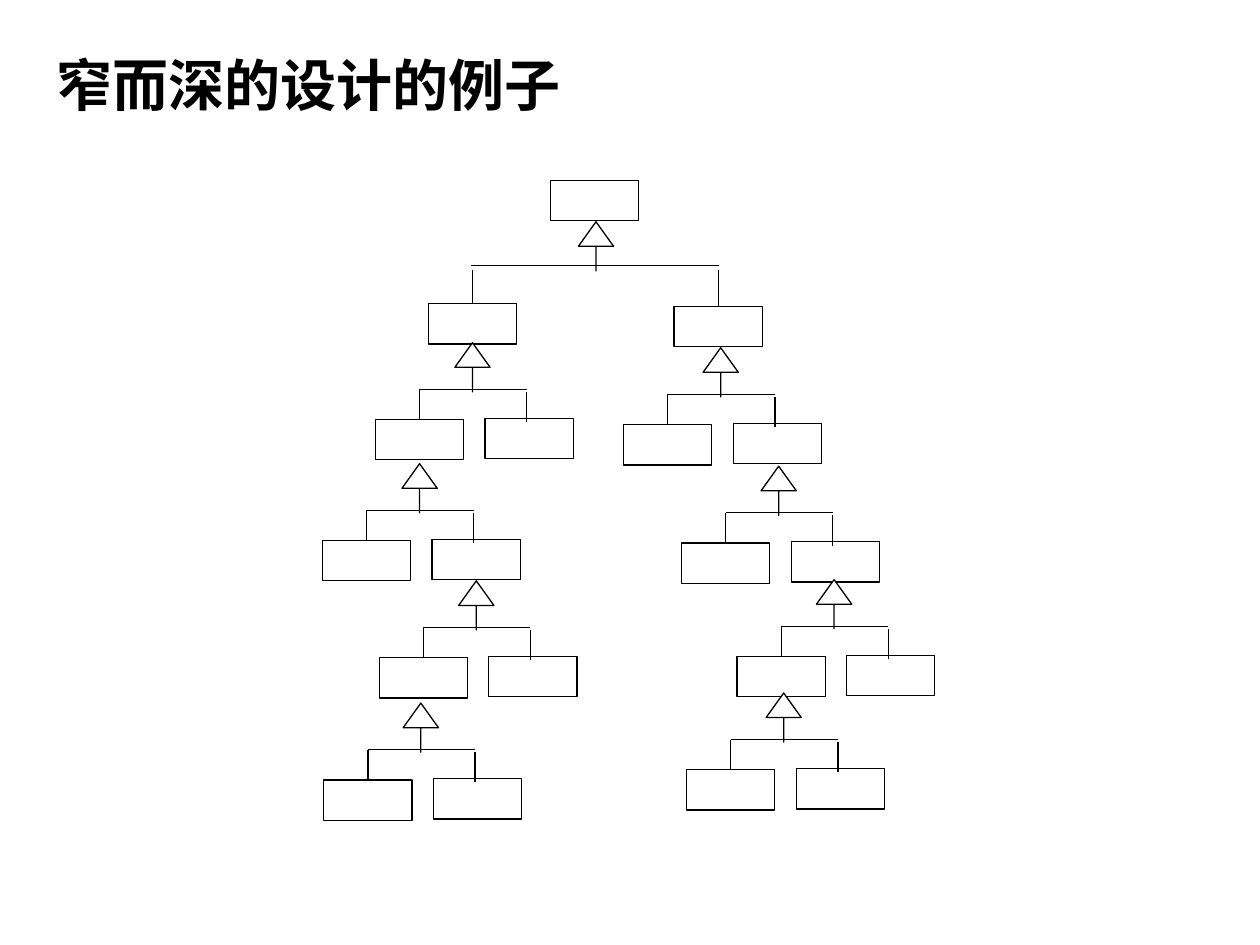
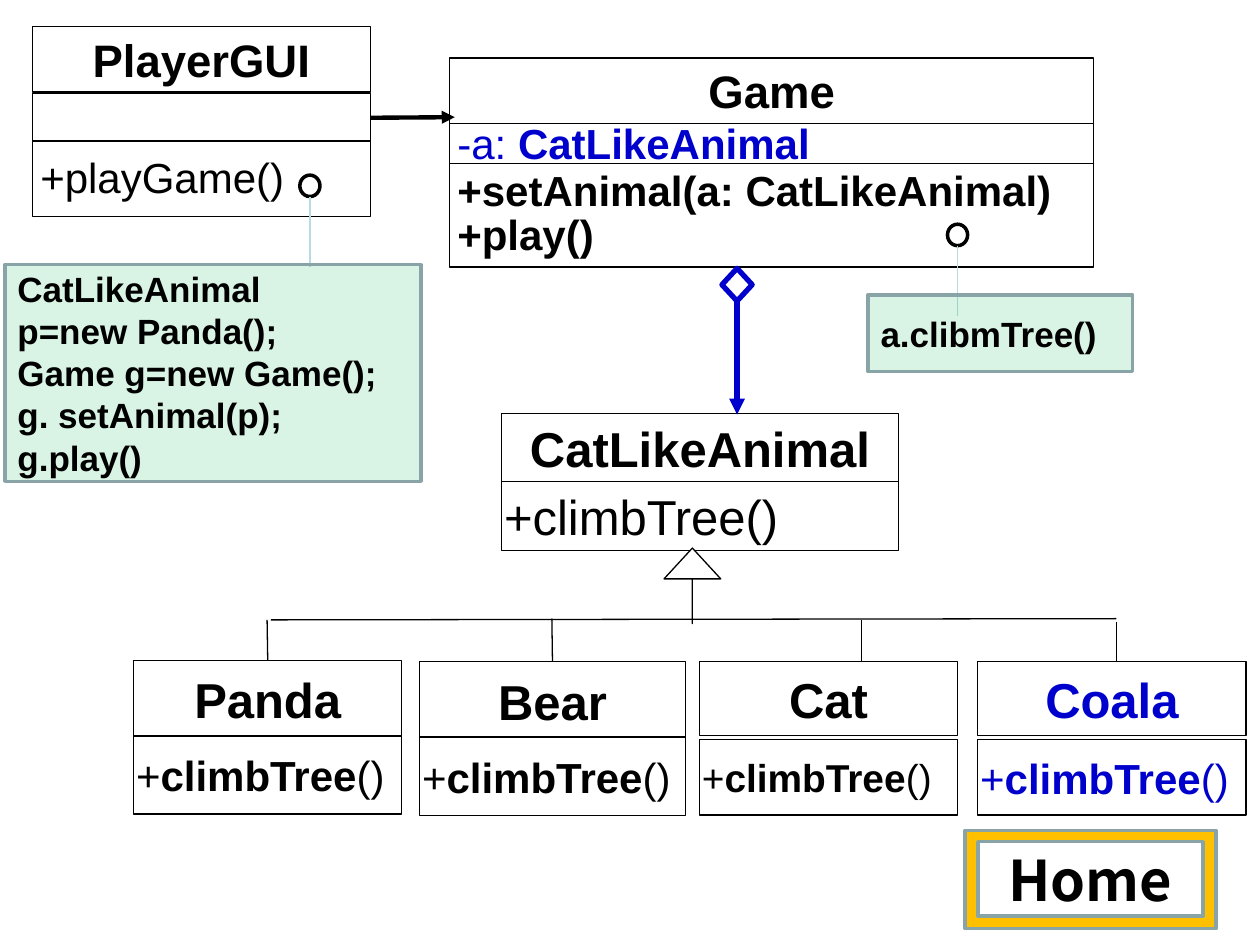
from lxml import etree
from pptx import Presentation
from pptx.dml.color import RGBColor
from pptx.enum.shapes import MSO_CONNECTOR as Link, MSO_SHAPE as Kind
from pptx.enum.text import MSO_ANCHOR as Anchor, PP_ALIGN as Align
from pptx.oxml.ns import qn
from pptx.util import Pt

PX = 9144
BLACK = RGBColor(0x00, 0x00, 0x00)
WHITE = RGBColor(0xFF, 0xFF, 0xFF)
BLUE = RGBColor(0x00, 0x00, 0xCC)
GREEN = RGBColor(0x00, 0xB0, 0x50)
AMBER = RGBColor(0xFF, 0xC0, 0x00)
SLATE = RGBColor(0x89, 0xA4, 0xA7)
PALE = RGBColor(0xB6, 0xDC, 0xDF)
LATIN = "Arial"
HAN = "Noto Sans CJK SC"
TOP, BOTTOM, RIGHT = 0, 2, 3
WIDE, NARROW, MEMBER = (10, 5, 10, 5), (6, 3, 6, 3), (2, 3, 6, 3)
NODE_SIZE = (70, 32)
FORKS = [(333, 309), (291, 405), (530, 313), (576, 407),
         (336, 498), (292, 595), (620, 497), (580, 587)]


def px(*lengths):
    return [length * PX for length in lengths]


def paint(shape, fill=WHITE, line=BLACK, weight=0.75):
    shape.shadow.inherit = False
    shape.fill.solid()
    shape.fill.fore_color.rgb = fill
    shape.line.color.rgb = line
    shape.line.width = Pt(weight)
    return shape


def add_box(page, area, kind=Kind.RECTANGLE, **look):
    return paint(page.shapes.add_shape(kind, *px(*area)), **look)


def add_line(page, start, end, color=BLACK, weight=0.75, arrow=False):
    line = page.shapes.add_connector(Link.STRAIGHT, *px(*start, *end))
    line.line.color.rgb = color
    line.line.width = Pt(weight)
    properties = line.element.spPr
    if arrow:
        outline = properties.find(qn("a:ln"))
        etree.SubElement(outline, qn("a:tailEnd"), type="triangle")
    etree.SubElement(properties, qn("a:effectLst"))
    return line


def add_inherit_arrow(page, area, head):
    arrow = add_box(page, area, Kind.UP_ARROW)
    arrow.adjustments[0] = 0
    arrow.adjustments[1] = head


def write(box, paragraphs, size, color=BLACK, font=LATIN, insets=NARROW,
          align=Align.LEFT, spacing=None, anchor=Anchor.MIDDLE):
    frame = box.text_frame
    frame.word_wrap = True
    frame.vertical_anchor = anchor
    (frame.margin_left, frame.margin_top,
     frame.margin_right, frame.margin_bottom) = px(*insets)
    for index, spans in enumerate(paragraphs):
        para = frame.add_paragraph() if index else frame.paragraphs[0]
        para.alignment = align
        if spacing:
            para.line_spacing = spacing
        for text, bold in spans:
            span = para.add_run()
            span.text = text
            span.font.size = Pt(size)
            span.font.bold = bold
            span.font.name = font
            span.font.color.rgb = color
            if font == HAN:
                etree.SubElement(span.font._element, qn("a:ea"), typeface=HAN)


def add_class_name(page, area, name, size, color=BLACK):
    box = add_box(page, area)
    write(box, [[(name, True)]], size, color, align=Align.CENTER)
    return box


def add_members(page, area, paragraphs, size, color=BLACK,
                insets=NARROW, spacing=None):
    box = add_box(page, area)
    write(box, paragraphs, size, color, insets=insets,
          align=Align.JUSTIFY, spacing=spacing)


def add_note(page, area, lines):
    note = add_box(page, area, fill=GREEN, line=SLATE, weight=2)
    tint = note.element.spPr.find(qn("a:solidFill")).find(qn("a:srgbClr"))
    etree.SubElement(tint, qn("a:alpha"), val="15000")
    write(note, [[(line, True)] for line in lines], 20, insets=WIDE)


def add_note_anchor(page, left, top):
    add_box(page, (left, top, 16, 17), Kind.OVAL, weight=2)
    add_line(page, (left + 8, top + 17), (left + 8, top + 73), PALE)


def add_root(page):
    add_box(page, (437, 143, *NODE_SIZE))
    add_line(page, (374, 211), (571, 211))
    for left, top in [(340, 241), (535, 243)]:
        child = add_box(page, (left, top, *NODE_SIZE))
        middle = left + NODE_SIZE[0] // 2
        drop = add_line(page, (middle, 214), (middle, top))
        drop.end_connect(child, TOP)
    add_inherit_arrow(page, (459, 176, 28, 39), 0.699)


def add_fork(page, left, top):
    right = left + 85
    first = add_box(page, (left - 35, top + 24, *NODE_SIZE))
    add_box(page, (left + 52, top + 23, *NODE_SIZE))
    add_line(page, (left, top), (right, top))
    drop = add_line(page, (left, top), (left, top + 24))
    drop.end_connect(first, TOP)
    add_line(page, (right, top + 2), (right, top + 26))
    add_inherit_arrow(page, (left + 28, top - 37, 28, 39), 0.699)


def add_subclass(page, name, area, split, gap, drop_at, size=24, color=BLACK):
    left, top, width, bottom = area
    drop_x, drop_top = drop_at
    drop = add_line(page, drop_at, (drop_x, top))
    title = add_class_name(page, (left, top, width, split - top), name, 28, color)
    if drop_x == left + width // 2:
        drop.end_connect(title, TOP)
    start = split + gap
    add_members(page, (left, start, width, bottom - start),
                [[("+", False), ("climbTree", True), ("()", False)]],
                size, color, MEMBER)


def add_home_button(page):
    builder = page.shapes.build_freeform(766, 659, scale=PX)
    builder.add_line_segments([(965, 659), (965, 737), (766, 737)], close=True)
    builder.move_to(776, 668)
    builder.add_line_segments([(776, 727), (955, 727), (955, 668)], close=True)
    button = paint(builder.convert_to_shape(), AMBER, SLATE, 2)
    write(button, [[("Home", True)]], 32, font=HAN, insets=WIDE,
          align=Align.CENTER)


def build_tree_page(page):
    add_root(page)
    for left, top in FORKS:
        add_fork(page, left, top)
    title = page.shapes.add_textbox(*px(35, 35, 444, 64))
    write(title, [[("窄而深的设计的例子", True)]], 32, font=HAN,
          insets=WIDE, anchor=Anchor.TOP)


def build_animal_classes(page):
    add_class_name(page, (398, 328, 315, 55), "CatLikeAnimal", 28)
    add_members(page, (398, 382, 315, 55), [[("+climbTree()", False)]], 28,
                insets=MEMBER)
    add_inherit_arrow(page, (527, 435, 45, 60), 0.544)
    add_line(page, (215, 492), (886, 491))
    add_subclass(page, "Panda", (106, 524, 213, 646), 586, -2, (212, 492))
    add_subclass(page, "Bear", (333, 525, 211, 647), 587, -2, (438, 491))
    add_subclass(page, "Cat", (555, 525, 205, 647), 584, 3, (684, 492), size=22.2)
    add_subclass(page, "Coala", (776, 525, 213, 647), 584, 3, (886, 494), color=BLUE)


def build_game_classes(page):
    add_class_name(page, (357, 46, 511, 52), "Game", 26)
    add_members(page, (357, 98, 511, 38),
                [[("-a: ", False), ("CatLikeAnimal", True)]], 24, BLUE, spacing=0.8)
    add_members(page, (357, 130, 511, 82),
                [[("+setAnimal(a: CatLikeAnimal)", True)], [("+play()", True)]],
                24, spacing=0.86)
    add_class_name(page, (26, 21, 268, 52), "PlayerGUI", 26)
    fields = add_box(page, (26, 74, 268, 39))
    add_members(page, (26, 112, 268, 60), [[("+playGame()", False)]], 24,
                spacing=0.96)
    uses = add_line(page, (294, 93), (361, 93), weight=2.5, arrow=True)
    uses.begin_connect(fields, RIGHT)


def build_class_page(page):
    build_animal_classes(page)
    build_game_classes(page)
    add_note_anchor(page, 238, 139)
    add_note_anchor(page, 752, 178)
    add_note(page, (689, 234, 210, 61), ["a.clibmTree()"])
    diamond = add_box(page, (573, 213, 24, 26), Kind.DIAMOND, line=BLUE, weight=3)
    holds = add_line(page, (585, 239), (585, 329), BLUE, 3, arrow=True)
    holds.begin_connect(diamond, BOTTOM)
    add_home_button(page)
    add_note(page, (4, 210, 330, 172),
             ["CatLikeAnimal", "p=new Panda();", "Game g=new Game();",
              "g. setAnimal(p);", "g.play()"])


def main():
    deck = Presentation()
    deck.slide_width, deck.slide_height = px(1000, 750)
    blank = deck.slide_layouts[6]
    for build in (build_tree_page, build_class_page):
        build(deck.slides.add_slide(blank))
    deck.save("out.pptx")


if __name__ == "__main__":
    main()
